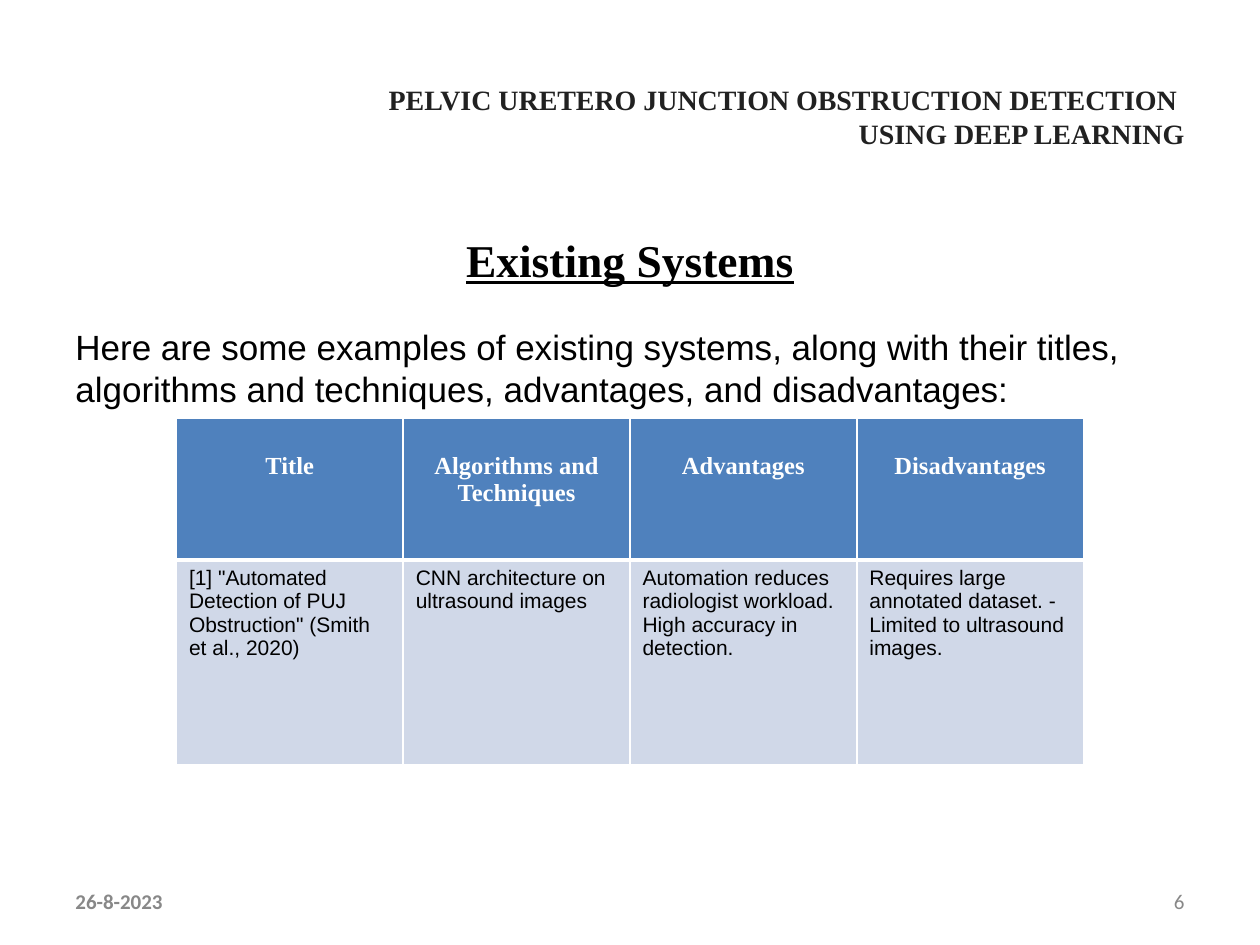
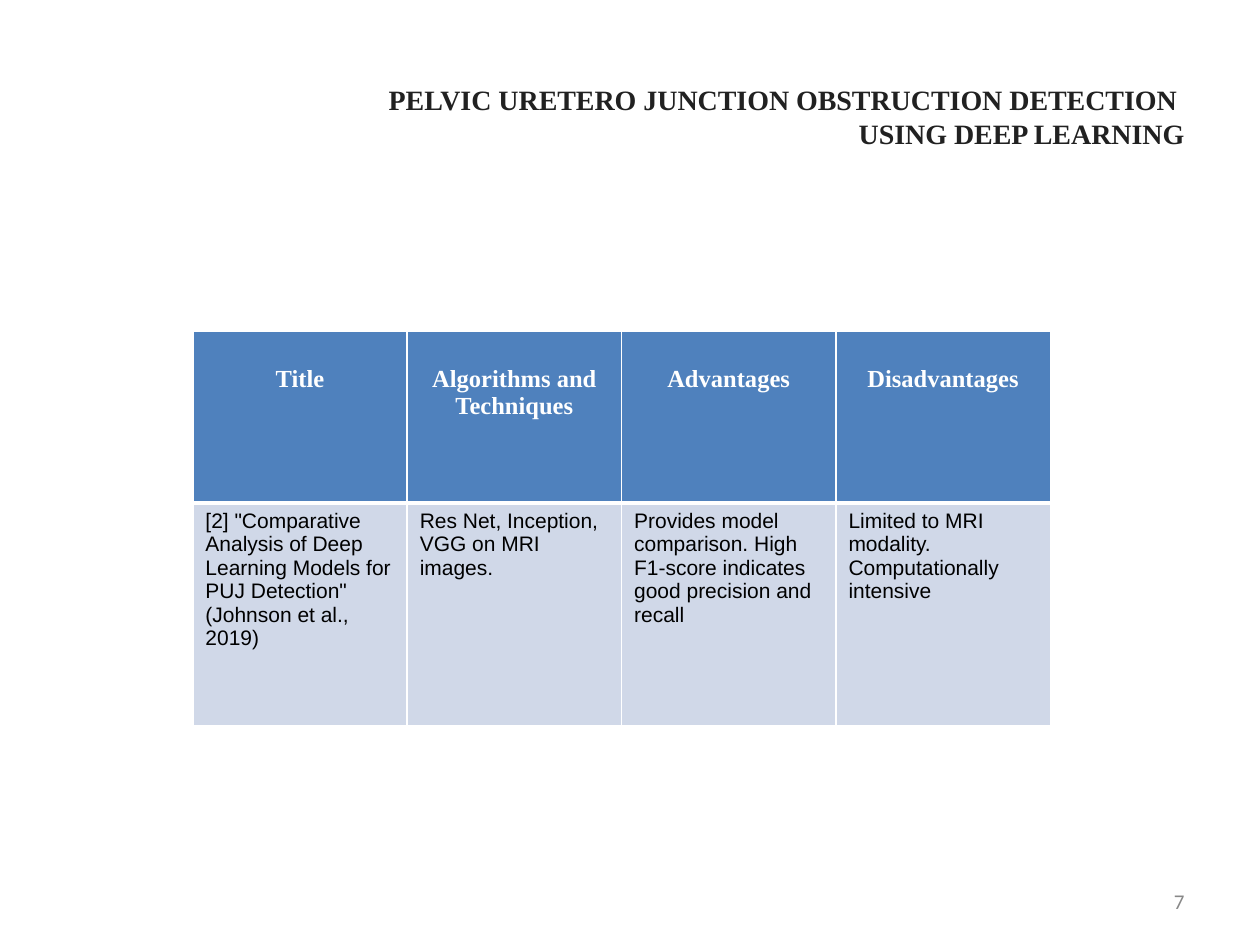
from lxml import etree
from pptx import Presentation
from pptx.dml.color import RGBColor
from pptx.enum import text
from pptx.oxml import ns
from pptx.util import Pt

INK = RGBColor(0x21, 0x21, 0x21)
BLACK = RGBColor(0, 0, 0)
WHITE = RGBColor(0xFF, 0xFF, 0xFF)
GREY = RGBColor(0x88, 0x88, 0x88)
HEADER_BLUE = RGBColor(0x4F, 0x81, 0xBD)
ROW_BLUE = RGBColor(0xD0, 0xD8, 0xE8)

SERIF, SANS, FOOTER_FONT = "Times New Roman", "Arial", "Calibri"
LEFT, CENTER, RIGHT = (text.PP_ALIGN.LEFT, text.PP_ALIGN.CENTER,
                       text.PP_ALIGN.RIGHT)

TITLE = "PELVIC URETERO JUNCTION OBSTRUCTION DETECTION \vUSING DEEP LEARNING"
HEADERS = ["Title", "Algorithms and Techniques", "Advantages", "Disadvantages"]


def style(p, font, size, color, bold=False, align=LEFT):
    p.alignment = align
    p.font.name, p.font.size, p.font.bold = font, Pt(size), bold
    p.font.color.rgb = color


def add_text(s, box, content, *look, anchor=text.MSO_ANCHOR.MIDDLE):
    """Add a wrapped text box with one styled paragraph; return its frame."""
    tf = s.shapes.add_textbox(*map(Pt, box)).text_frame
    tf.word_wrap = True
    tf.vertical_anchor = anchor
    tf.text = content
    style(tf.paragraphs[0], *look)
    return tf


def add_border(cell, side, width):
    line = etree.SubElement(cell._tc.get_or_add_tcPr(), ns.qn("a:" + side),
                            w=str(Pt(width)))
    fill = etree.SubElement(line, ns.qn("a:solidFill"))
    etree.SubElement(fill, ns.qn("a:srgbClr"), val=str(WHITE))


def fill_cell(cell, content, fill, borders, *look):
    for side, width in zip(("lnL", "lnR", "lnT", "lnB"), borders):
        add_border(cell, side, width)
    cell.fill.solid()
    cell.fill.fore_color.rgb = fill
    cell.text = content
    style(cell.text_frame.paragraphs[0], *look)


def add_systems_table(s, left, top, width, row_heights, system):
    """Compare one existing system under the shared headers."""
    table = s.shapes.add_table(2, len(HEADERS), Pt(left), Pt(top), Pt(width),
                               Pt(sum(row_heights))).table
    for row, height in zip(table.rows, row_heights):
        row.height = Pt(height)
    for col, (header, detail) in enumerate(zip(HEADERS, system)):
        head = table.cell(0, col)
        fill_cell(head, header, HEADER_BLUE, (1, 1, 1, 3),
                  SERIF, 14, WHITE, True, CENTER)
        head.margin_top = Pt(19.5)
        fill_cell(table.cell(1, col), detail, ROW_BLUE, (1, 1, 3, 1),
                  SANS, 12, BLACK)


def add_base_slide(prs, number):
    """Blank slide with the project title and the page number."""
    s = prs.slides.add_slide(prs.slide_layouts[6])
    add_text(s, (36, 21.6, 648, 90), TITLE, SERIF, 16, INK, True, RIGHT)
    add_text(s, (516, 500.4, 168, 28.8), str(number),
             FOOTER_FONT, 12, GREY, False, RIGHT)
    return s


def add_introduction(s):
    tf = add_text(s, (36, 129, 648, 353), "Existing Systems",
                  SERIF, 26, BLACK, True, CENTER, anchor=text.MSO_ANCHOR.TOP)
    tf.paragraphs[0].font.underline = True
    p = tf.add_paragraph()
    p.text = ("Here are some examples of existing systems, along with their "
              "titles, algorithms and techniques, advantages, and "
              "disadvantages:")
    style(p, SANS, 20, BLACK)
    p.space_before = Pt(22.5)


def main():
    prs = Presentation()
    prs.slide_width, prs.slide_height = Pt(720), Pt(540)

    # Introduction and first system
    s = add_base_slide(prs, 6)
    add_introduction(s)
    add_text(s, (36, 500.4, 168, 28.8), "26-8-2023",
             FOOTER_FONT, 12, GREY, True)
    add_systems_table(s, 100.8, 239, 518.4, (81, 117), [
        '[1] "Automated Detection of PUJ Obstruction" (Smith et al., 2020)',
        "CNN architecture on ultrasound images",
        "Automation reduces radiologist workload. High accuracy in detection.",
        "Requires large annotated dataset. - Limited to ultrasound images.",
    ])

    # Second system
    s = add_base_slide(prs, 7)
    add_systems_table(s, 110.2, 189.4, 490, (98, 127.5), [
        '[2] "Comparative Analysis of Deep Learning Models for PUJ Detection" '
        "(Johnson et al., 2019)",
        "Res Net, Inception, VGG on MRI images.",
        "Provides model comparison. High F1-score indicates good precision "
        "and recall",
        "Limited to MRI modality. Computationally intensive",
    ])

    prs.save("out.pptx")


if __name__ == "__main__":
    main()
